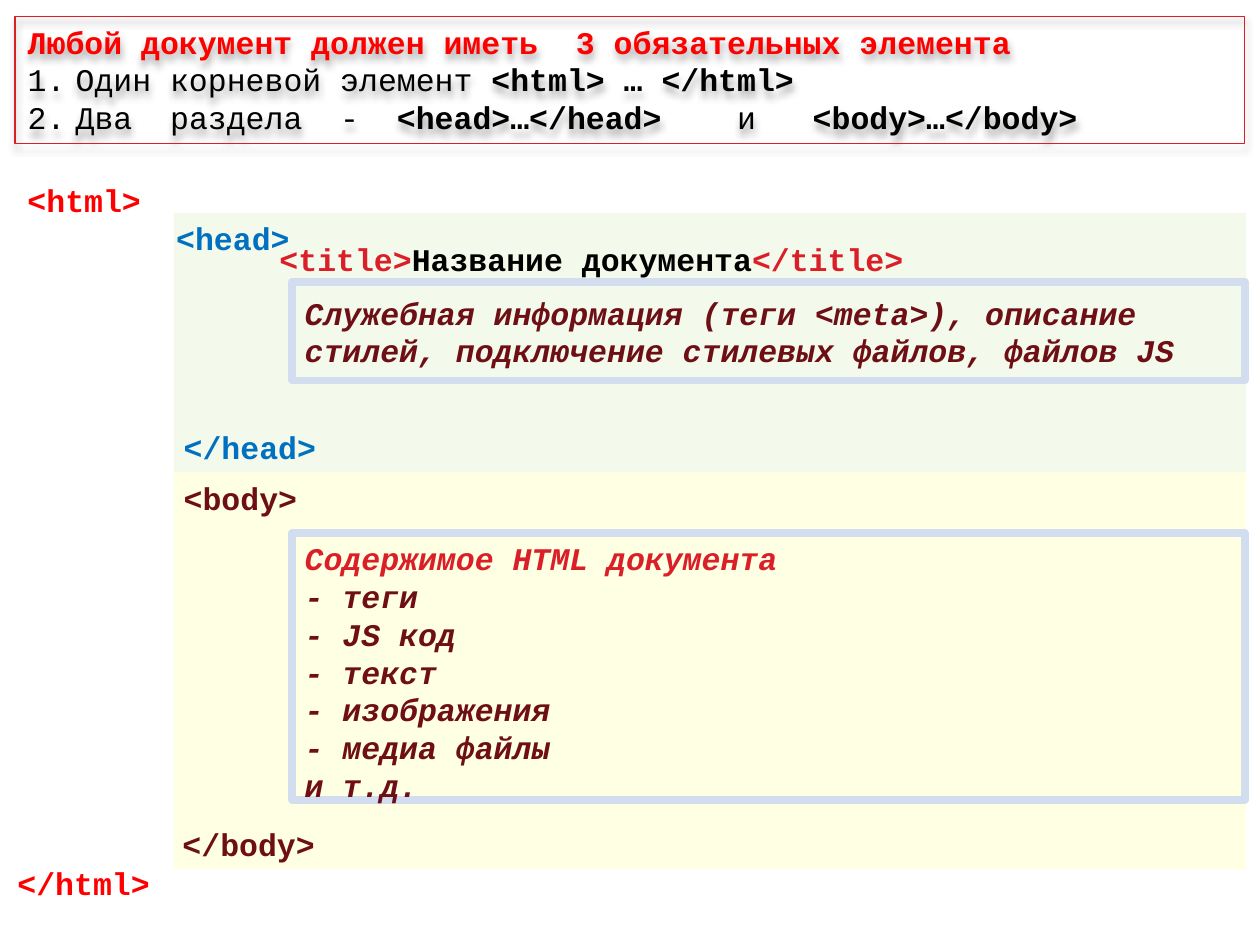
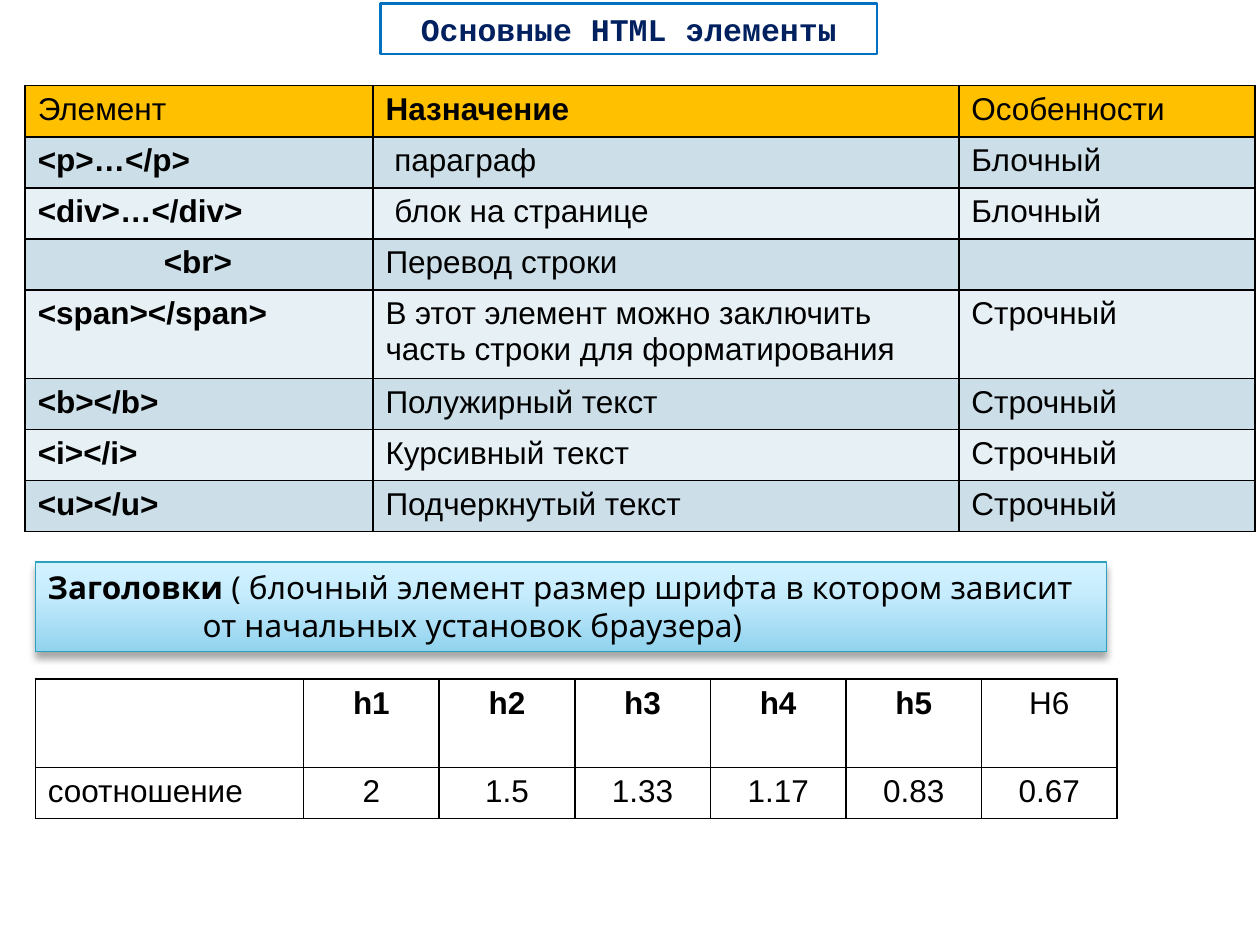
import copy
from dataclasses import dataclass

import lxml.etree
import pptx
import pptx.dml.color
import pptx.enum.shapes
import pptx.enum.text
import pptx.oxml
import pptx.oxml.ns
import pptx.util

RGB = pptx.dml.color.RGBColor
ALIGN = pptx.enum.text.PP_ALIGN
ANCHOR = pptx.enum.text.MSO_ANCHOR
Pt = pptx.util.Pt
Inches = pptx.util.Inches
qn = pptx.oxml.ns.qn

BLACK = RGB(0x00, 0x00, 0x00)
WHITE = RGB(0xFF, 0xFF, 0xFF)
RED = RGB(0xFF, 0x00, 0x00)
CRIMSON = RGB(0xDA, 0x1F, 0x28)
MAROON = RGB(0x6D, 0x0F, 0x14)
BLUE = RGB(0x00, 0x70, 0xC0)
NAVY = RGB(0x00, 0x20, 0x60)
GREEN = RGB(0x92, 0xD0, 0x50)
YELLOW = RGB(0xFF, 0xFF, 0x00)
FRAME = RGB(0xD2, 0xDE, 0xEF)
HEADER = RGB(0xFF, 0xC0, 0x00)
BANDS = (RGB(0xCC, 0xDF, 0xE8), RGB(0xE7, 0xF0, 0xF4))
TEAL = RGB(0x2D, 0xA2, 0xBF)
SKY = ((0, RGB(0x92, 0xD3, 0xEE)), (0.65, RGB(0xC6, 0xEC, 0xFD)),
       (1, RGB(0xD4, 0xF2, 0xFF)))

CODE, SANS, NOTO = "Courier New", "Arial", "Noto Sans"
SIZE = Pt(18)
CODE_ADVANCE = 10.8  # width in points of one code character
CELL = Inches(0.1)  # the slide is a grid of 100 columns by 75 rows
TAG_H = 4
ROW_H = Pt(29.2)
TALL_ROW_H = Inches(0.7)


@dataclass
class Box:
    """Rectangle in grid columns and rows."""
    x: float
    y: float
    w: float
    h: float

    def at(self, dx, dy, w, h):
        return Box(self.x + dx, self.y + dy, w, h)

    def emu(self):
        return [int(v * CELL) for v in (self.x, self.y, self.w, self.h)]


@dataclass
class Run:
    text: str
    color: RGB = BLACK
    bold: bool = False
    italic: bool = False
    spacing: float = 0


def gap(chars):
    """One space stretched to the width of several code characters."""
    return Run(" ", spacing=(chars - 1) * CODE_ADVANCE)


def add_runs(p, runs, font):
    for item in runs:
        r = p.add_run()
        r.text = item.text
        r.font.name, r.font.size = font, SIZE
        r.font.bold, r.font.italic = item.bold, item.italic
        r.font.color.rgb = item.color
        if item.spacing:
            r._r.get_or_add_rPr().set("spc", str(round(item.spacing * 100)))


def indent(p, left, hanging=0):
    pPr = p._p.get_or_add_pPr()
    pPr.set("marL", str(Inches(left)))
    pPr.set("indent", str(-Inches(hanging)))


def number(p):
    indent(p, 0.38, 0.38)
    bullet = lxml.etree.SubElement(p._p.get_or_add_pPr(), qn("a:buAutoNum"))
    bullet.set("type", "arabicPeriod")


def write(sp, paragraphs, font=CODE, align=ALIGN.LEFT, anchor=ANCHOR.TOP):
    tf = sp.text_frame
    tf.word_wrap = True
    tf.auto_size = pptx.enum.text.MSO_AUTO_SIZE.NONE
    tf.vertical_anchor = anchor
    for i, runs in enumerate(paragraphs):
        p = tf.add_paragraph() if i else tf.paragraphs[0]
        p.alignment = align
        add_runs(p, runs, font)
    return tf


def outline(sp, color, width):
    sp.line.color.rgb = color
    sp.line.width = Pt(width)


def add_shadow(sp):
    sp.shadow.inherit = False
    effects = sp._element.spPr.find(qn("a:effectLst"))
    effects.append(pptx.oxml.parse_xml(
        f'<a:outerShdw {pptx.oxml.ns.nsdecls("a")} blurRad="{Pt(4)}" dist="{Pt(3)}" '
        'dir="5400000" rotWithShape="0"><a:srgbClr val="000000">'
        '<a:alpha val="35000"/></a:srgbClr></a:outerShdw>'))


def add_rect(slide, box):
    sp = slide.shapes.add_shape(pptx.enum.shapes.MSO_SHAPE.RECTANGLE, *box.emu())
    sp.shadow.inherit = False
    sp.fill.background()
    sp.line.fill.background()
    return sp


def add_text(slide, box, runs):
    write(slide.shapes.add_textbox(*box.emu()), [runs])


def add_title(slide, box, color, width, paragraphs, **layout):
    sp = slide.shapes.title
    sp.left, sp.top, sp.width, sp.height = box.emu()
    outline(sp, color, width)
    return sp, write(sp, paragraphs, **layout)


def add_band(slide, box, color):
    sp = add_rect(slide, box)
    sp.fill.solid()
    sp.fill.fore_color.rgb = color
    clr = sp._element.spPr.find(qn("a:solidFill"))[0]
    lxml.etree.SubElement(clr, qn("a:alpha")).set("val", "11000")


def add_tags(slide, box, name, color, open_dx, close_dx):
    """Opening tag at the top of the box, closing tag at its bottom."""
    for text, dx, dy in ((f"<{name}>", open_dx, 0),
                         (f"</{name}>", close_dx, box.h - TAG_H)):
        add_text(slide, box.at(dx, dy, 13, TAG_H), [Run(text, color, True)])


def add_frame(slide, box, paragraphs, anchor):
    sp = add_rect(slide, box)
    outline(sp, FRAME, 4.33)
    write(sp, paragraphs, anchor=anchor)


def note(text, color=MAROON):
    return [Run(text, color, True, True)]


def add_requirements(slide, box):
    sp, tf = add_title(slide, box, CRIMSON, 0.75, [
        [Run("Любой документ должен иметь", RED, True), gap(2),
         Run("3 обязательных элемента", RED, True)],
        [Run("Один корневой элемент "), Run("<html> … </html>", bold=True)],
        [Run("Два"), gap(2), Run("раздела"), gap(2), Run("-"), gap(2),
         Run("<head>…</head>", bold=True), gap(4), Run("и"), gap(3),
         Run("<body>…</body>", bold=True)],
    ])
    add_shadow(sp)
    for p in tf.paragraphs[1:]:
        number(p)


def add_head(slide, box):
    add_band(slide, box, GREEN)
    add_tags(slide, box, "head", BLUE, -0.8, -0.2)
    add_text(slide, box.at(7.4, 1.7, 53.3, TAG_H), [
        Run("<title>", CRIMSON, True), Run("Название документа", BLACK, True),
        Run("</title>", CRIMSON, True)])
    add_frame(slide, box.at(9.4, 5.5, 75.6, 7.8), [
        note("Служебная информация (теги <meta>), описание стилей, "
             "подключение стилевых файлов, файлов JS")], ANCHOR.MIDDLE)


def add_body(slide, box):
    add_band(slide, box, YELLOW)
    add_tags(slide, box, "body", MAROON, -0.2, -0.3)
    lines = ["- теги", "- JS код", "- текст", "- изображения",
             "- медиа файлы", "и т.д."]
    add_frame(slide, box.at(9.4, 4.8, 75.6, 21.2),
              [note("Содержимое HTML документа", CRIMSON)] + [note(t) for t in lines],
              ANCHOR.TOP)


def add_document(slide, box):
    add_tags(slide, box, "html", RED, 0, -0.8)
    add_head(slide, box.at(12.6, 3, 85.1, 20.6))
    add_body(slide, box.at(12.6, 23.6, 85.1, 31.5))


def fill_cell(cell, text, fill, bold=False, align=ALIGN.LEFT, left=0):
    tcPr = cell._tc.get_or_add_tcPr()
    for side in ("lnL", "lnR", "lnT", "lnB"):
        tcPr.append(pptx.oxml.parse_xml(
            f'<a:{side} {pptx.oxml.ns.nsdecls("a")} w="{Pt(1)}"><a:solidFill>'
            f'<a:srgbClr val="{BLACK}"/></a:solidFill></a:{side}>'))
    cell.fill.solid()
    cell.fill.fore_color.rgb = fill
    p = cell.text_frame.paragraphs[0]
    p.alignment = align
    if left:
        indent(p, left)
    if text:
        add_runs(p, [Run(text, bold=bold)], SANS)
    else:
        p.font.size = SIZE


def add_grid(slide, box, columns, heights):
    frame = slide.shapes.add_table(len(heights), len(columns), *box.emu())
    table = frame.table
    table.first_row = table.horz_banding = False
    for column, width in zip(table.columns, columns):
        column.width = int(width * CELL)
    for row, height in zip(table.rows, heights):
        row.height = height
    return table


def add_elements_table(slide, box):
    rows = [
        ("Элемент", "Назначение", "Особенности"),
        ("<p>…</p>", "параграф", "Блочный"),
        ("<div>…</div>", "блок на странице", "Блочный"),
        ("<br>", "Перевод строки", ""),
        ("<span></span>", "В этот элемент можно заключить часть строки "
                          "для форматирования", "Строчный"),
        ("<b></b>", "Полужирный текст", "Строчный"),
        ("<i></i>", "Курсивный текст", "Строчный"),
        ("<u></u>", "Подчеркнутый текст", "Строчный"),
    ]
    indents = {(1, 1): 0.07, (2, 1): 0.07, (3, 0): 1}
    heights = [TALL_ROW_H if row[0] == "<span></span>" else ROW_H for row in rows]
    table = add_grid(slide, box, (27.6, 46.5, 23.5), heights)
    for i, row in enumerate(rows):
        fill = BANDS[(i - 1) % 2] if i else HEADER
        for j, text in enumerate(row):
            bold = j == 0 if i else j == 1
            fill_cell(table.cell(i, j), text, fill, bold, left=indents.get((i, j), 0))


def add_headings_banner(slide, box):
    sp = add_rect(slide, box)
    sp.fill.gradient()
    sp.fill.gradient_angle = 90
    stops = sp._element.spPr.find(qn("a:gradFill")).find(qn("a:gsLst"))
    stops.append(copy.deepcopy(stops[-1]))
    for stop, (position, color) in zip(sp.fill.gradient_stops, SKY):
        stop.position = position
        stop.color.rgb = color
    outline(sp, TEAL, 0.75)
    add_shadow(sp)
    tf = write(sp, [
        [Run("Заголовки", bold=True),
         Run(" ( блочный элемент размер шрифта в котором зависит")],
        [Run("от начальных установок браузера)")]], font=NOTO)
    indent(tf.paragraphs[1], 1.23)


def add_ratio_table(slide, box):
    names = ["", "h1", "h2", "h3", "h4", "h5", "H6"]
    ratios = ["соотношение", "2", "1.5", "1.33", "1.17", "0.83", "0.67"]
    table = add_grid(slide, box, [21.3] + [10.76] * 6, (TALL_ROW_H, ROW_H))
    for i, row in enumerate((names, ratios)):
        for j, text in enumerate(row):
            fill_cell(table.cell(i, j), text, WHITE, bold=text.startswith("h"),
                      align=ALIGN.CENTER if j else ALIGN.LEFT)


def build_structure_slide(slide):
    add_requirements(slide, Box(1.2, 1.3, 97.6, 10.1))
    add_document(slide, Box(1.2, 13.9, 97.7, 58.2))


def build_elements_slide(slide):
    add_title(slide, Box(30.2, 0.3, 39.4, 4), BLUE, 1.5,
              [[Run("Основные HTML элементы", NAVY, True)]],
              align=ALIGN.CENTER, anchor=ANCHOR.MIDDLE)
    add_elements_table(slide, Box(2, 6.8, 97.6, 35.4))
    add_headings_banner(slide, Box(2.8, 44.6, 85, 7.1))
    add_ratio_table(slide, Box(2.8, 53.9, 85.86, 11.1))


def main():
    prs = pptx.Presentation()
    prs.slide_width, prs.slide_height = 100 * CELL, 75 * CELL
    title_only = prs.slide_layouts[5]
    for build in (build_structure_slide, build_elements_slide):
        build(prs.slides.add_slide(title_only))
    prs.save("out.pptx")


if __name__ == "__main__":
    main()
